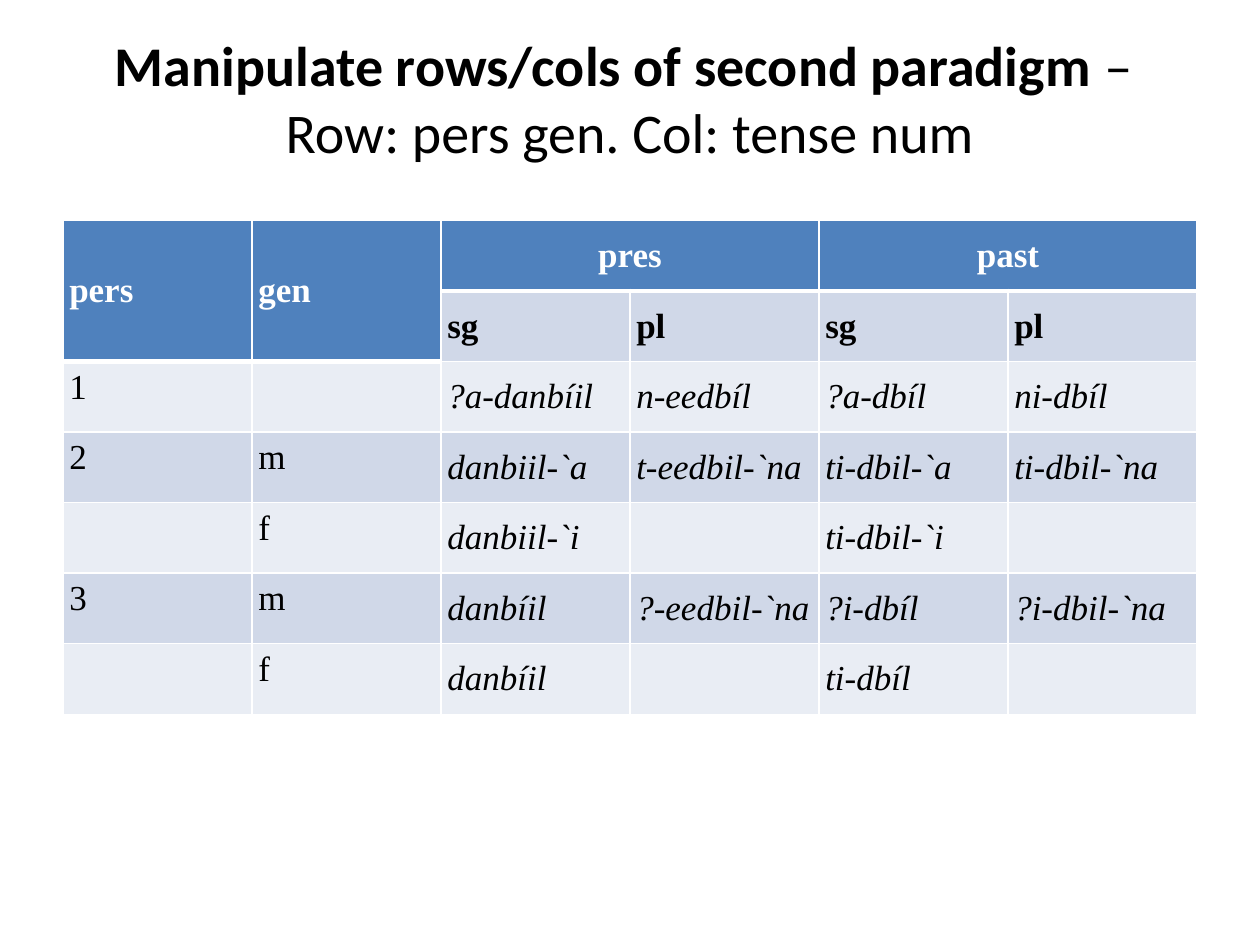
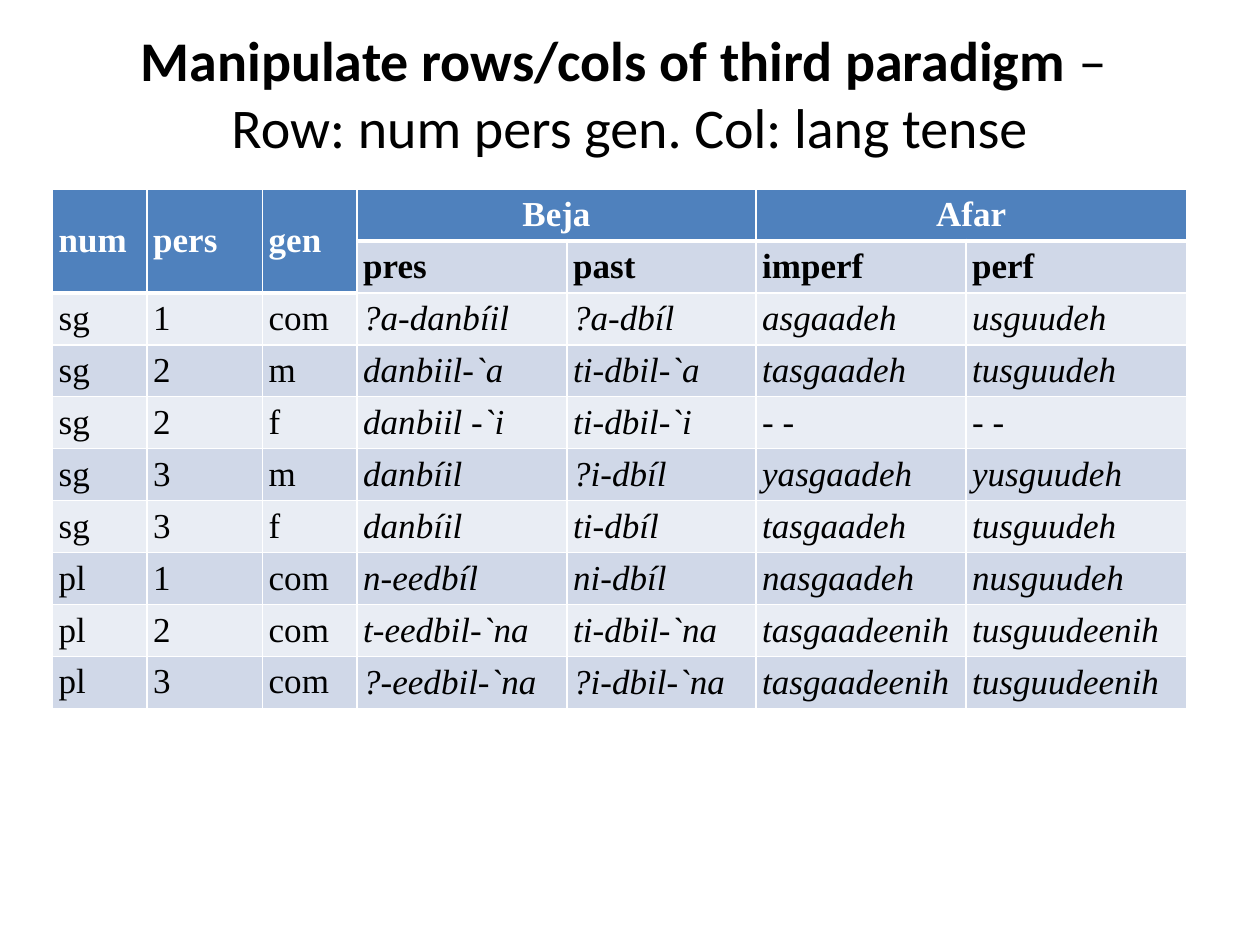
from dataclasses import dataclass

from lxml.etree import SubElement
from pptx import Presentation
from pptx.dml.color import RGBColor
from pptx.enum.text import MSO_ANCHOR as Anchor, PP_ALIGN as Align
from pptx.oxml.ns import qn
from pptx.presentation import Presentation as Deck
from pptx.slide import Slide
from pptx.table import Table, _Cell as Cell
from pptx.text.text import _Paragraph as Paragraph
from pptx.util import Inches, Length, Pt

HEADER_BLUE = RGBColor(0x4F, 0x81, 0xBD)
BAND_DARK = RGBColor(0xD0, 0xD8, 0xE8)
BAND_LIGHT = RGBColor(0xE9, 0xED, 0xF4)
WHITE = RGBColor(0xFF, 0xFF, 0xFF)
BLACK = RGBColor(0x00, 0x00, 0x00)

TITLE_FONT, TITLE_SIZE = "Calibri", 32
TABLE_FONT, TABLE_SIZE = "Times New Roman", 20
THIN, THICK = 1, 3

# The slide is a grid of 120 columns by 90 rows, twelve to the inch.
GRID_COLUMNS, GRID_ROWS = 120, 90
MARGIN, CONTENT_WIDTH, TITLE_TOP = 6, 108, 3.6
CELL_INSET = 0.6
HEADER_ROWS = 2
GROUP_SPAN = 2


@dataclass(frozen=True)
class Paradigm:
    heading: str
    arrangement: str
    title_height: float
    left: float
    top: float
    column_widths: tuple[int, ...]
    row_height: float
    keys: tuple[str, ...]
    groups: tuple[str, ...]
    subheads: tuple[str, ...]
    forms: tuple[tuple[str, ...], ...]
    empty_key_cells: bool = False

    def is_header(self, row: int, column: int) -> bool:
        return row == 0 or (row < HEADER_ROWS and column < len(self.keys))

    def grid(self) -> list[tuple[str, ...]]:
        """All rows of text, with empty strings where cells are merged."""
        groups = tuple(text for group in self.groups
                       for text in (group, *[""] * (GROUP_SPAN - 1)))
        return [self.keys + groups,
                ("",) * len(self.keys) + self.subheads,
                *self.forms]


SECOND = Paradigm(
    heading="Manipulate rows/cols of second paradigm",
    arrangement="Row: pers gen. Col: tense num",
    title_height=11.4, left=6, top=21,
    column_widths=(18,) * 6, row_height=6.72,
    keys=("pers", "gen"),
    groups=("pres", "past"),
    subheads=("sg", "pl") * 2,
    forms=(
        ("1", "", "?a-danbíil", "n-eedbíl", "?a-dbíl", "ni-dbíl"),
        ("2", "m", "danbiil-`a", "t-eedbil-`na", "ti-dbil-`a", "ti-dbil-`na"),
        ("", "f", "danbiil-`i", "", "ti-dbil-`i", ""),
        ("3", "m", "danbíil", "?-eedbil-`na", "?i-dbíl", "?i-dbil-`na"),
        ("", "f", "danbíil", "", "ti-dbíl", ""),
    ),
)

THIRD = Paradigm(
    heading="Manipulate rows/cols of third paradigm",
    arrangement="Row: num pers gen. Col: lang tense",
    title_height=10.44, left=5, top=18,
    column_widths=(9, 11, 9, 20, 18, 20, 21), row_height=4.95,
    keys=("num", "pers", "gen"),
    groups=("Beja", "Afar"),
    subheads=("pres", "past", "imperf", "perf"),
    forms=(
        ("sg", "1", "com", "?a-danbíil", "?a-dbíl", "asgaadeh", "usguudeh"),
        ("sg", "2", "m", "danbiil-`a", "ti-dbil-`a", "tasgaadeh", "tusguudeh"),
        ("sg", "2", "f", "danbiil -`i", "ti-dbil-`i", "- -", "- -"),
        ("sg", "3", "m", "danbíil", "?i-dbíl", "yasgaadeh", "yusguudeh"),
        ("sg", "3", "f", "danbíil", "ti-dbíl", "tasgaadeh", "tusguudeh"),
        ("pl", "1", "com", "n-eedbíl", "ni-dbíl", "nasgaadeh", "nusguudeh"),
        ("pl", "2", "com", "t-eedbil-`na", "ti-dbil-`na", "tasgaadeenih", "tusguudeenih"),
        ("pl", "3", "com", "?-eedbil-`na", "?i-dbil-`na", "tasgaadeenih", "tusguudeenih"),
    ),
)


def units(count: float) -> Length:
    """Length of a number of grid steps."""
    return Inches(count / 12)


def add_run(paragraph: Paragraph, text: str, font: str, size: int,
            color: RGBColor, bold: bool = False, italic: bool = False) -> None:
    run = paragraph.add_run()
    run.text = text
    run.font.name, run.font.size = font, Pt(size)
    run.font.bold, run.font.italic = bold, italic
    run.font.color.rgb = color


def set_title(slide: Slide, paradigm: Paradigm) -> None:
    title = slide.shapes.title
    title.left, title.top = units(MARGIN), units(TITLE_TOP)
    title.width, title.height = units(CONTENT_WIDTH), units(paradigm.title_height)
    title.text_frame.vertical_anchor = Anchor.MIDDLE
    line = title.text_frame.paragraphs[0]
    line.alignment = Align.CENTER
    add_run(line, paradigm.heading, TITLE_FONT, TITLE_SIZE, BLACK, bold=True)
    add_run(line, " – ", TITLE_FONT, TITLE_SIZE, BLACK)
    line.add_line_break()
    add_run(line, paradigm.arrangement, TITLE_FONT, TITLE_SIZE, BLACK)


def set_borders(cell: Cell, top: int, bottom: int) -> None:
    """White borders, in points; must precede the cell's fill."""
    properties = cell._tc.get_or_add_tcPr()
    for side, width in (("L", THIN), ("R", THIN), ("T", top), ("B", bottom)):
        border = SubElement(properties, qn(f"a:ln{side}"), w=str(Pt(width)))
        SubElement(SubElement(border, qn("a:solidFill")), qn("a:srgbClr"), val=str(WHITE))


def format_cell(cell: Cell, text: str, row: int, column: int, paradigm: Paradigm) -> None:
    header = paradigm.is_header(row, column)
    is_key = column < len(paradigm.keys)
    in_body = row >= HEADER_ROWS
    below_header = row > 0 and paradigm.is_header(row - 1, column)
    set_borders(cell, THICK if below_header else THIN, THICK if header else THIN)
    cell.fill.solid()
    band = BAND_DARK if row % 2 else BAND_LIGHT
    cell.fill.fore_color.rgb = HEADER_BLUE if header else band
    cell.margin_left = cell.margin_right = units(CELL_INSET)
    cell.margin_top = cell.margin_bottom = units(CELL_INSET)
    cell.vertical_anchor = Anchor.TOP if in_body and is_key else Anchor.MIDDLE
    line = cell.text_frame.paragraphs[0]
    line.alignment = Align.CENTER if row == 0 and not is_key else Align.LEFT
    if text:
        add_run(line, text, TABLE_FONT, TABLE_SIZE, WHITE if header else BLACK,
                bold=not in_body, italic=in_body and not is_key)
    else:
        line.font.size = Pt(TABLE_SIZE)


def merge_headers(table: Table, paradigm: Paradigm) -> None:
    key_count = len(paradigm.keys)
    for column in range(key_count):
        table.cell(0, column).merge(table.cell(HEADER_ROWS - 1, column))
    for first in range(key_count, len(paradigm.column_widths), GROUP_SPAN):
        table.cell(0, first).merge(table.cell(0, first + GROUP_SPAN - 1))


def add_paradigm_table(slide: Slide, paradigm: Paradigm) -> None:
    grid = paradigm.grid()
    table = slide.shapes.add_table(
        len(grid), len(paradigm.column_widths),
        units(paradigm.left), units(paradigm.top),
        units(sum(paradigm.column_widths)), units(len(grid) * paradigm.row_height),
    ).table
    for column, width in zip(table.columns, paradigm.column_widths):
        column.width = units(width)
    for row in table.rows:
        row.height = units(paradigm.row_height)
    merge_headers(table, paradigm)
    for row, texts in enumerate(grid):
        for column, text in enumerate(texts):
            format_cell(table.cell(row, column), text, row, column, paradigm)


def add_paradigm_slide(deck: Deck, paradigm: Paradigm) -> None:
    slide = deck.slides.add_slide(deck.slide_layouts.get_by_name("Title Only"))
    set_title(slide, paradigm)
    add_paradigm_table(slide, paradigm)


def main() -> None:
    deck = Presentation()
    deck.slide_width, deck.slide_height = units(GRID_COLUMNS), units(GRID_ROWS)
    for paradigm in (SECOND, THIRD):
        add_paradigm_slide(deck, paradigm)
    deck.save("out.pptx")


if __name__ == "__main__":
    main()
